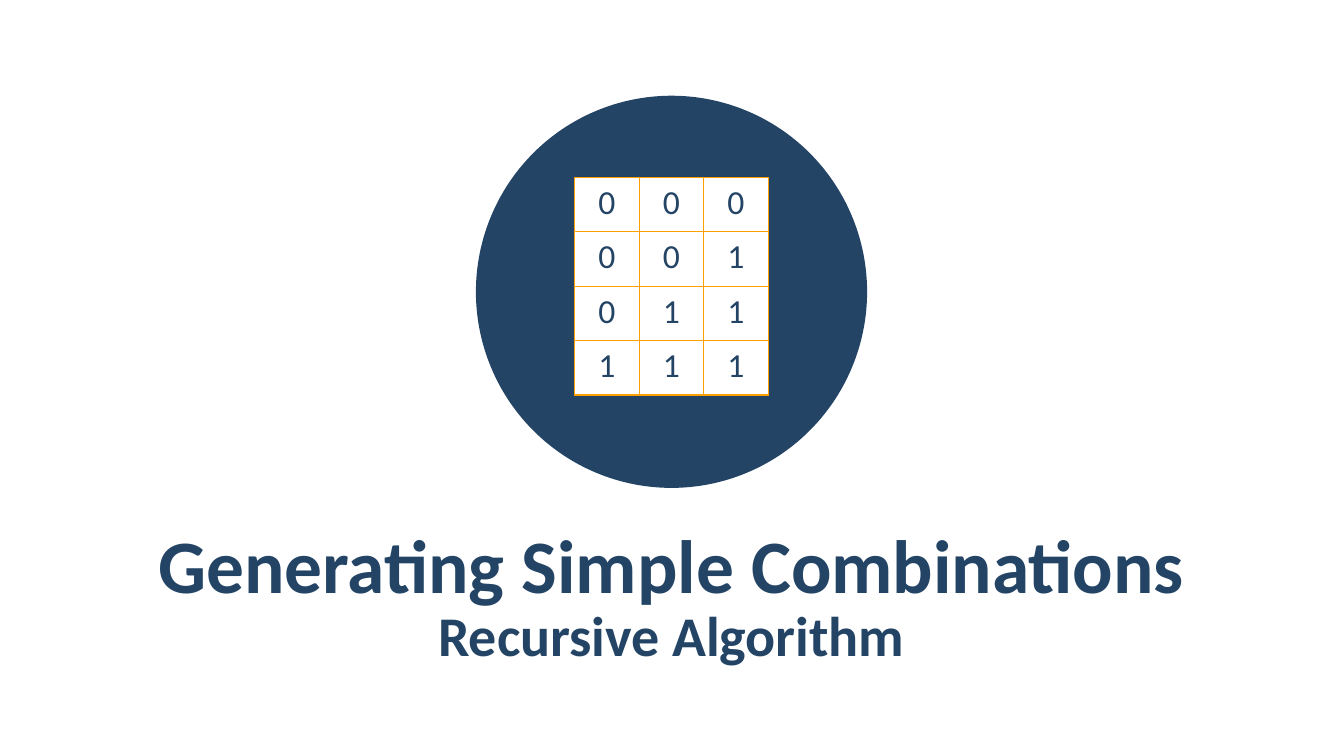
import pptx
import pptx.dml.color
import pptx.enum.shapes
import pptx.enum.text
import pptx.oxml
import pptx.oxml.ns
import pptx.util
from dataclasses import dataclass

Inches = pptx.util.Inches
Color = pptx.dml.color.RGBColor.from_string

# Content
TITLE = "Generating Simple Combinations"
SUBTITLE = "Recursive Algorithm"
COMBINATIONS = ["000", "001", "011", "111"]


@dataclass(frozen=True)
class Theme:
    font: str = "Calibri"
    navy: str = "234465"
    white: str = "FFFFFF"
    orange: str = "FFA000"
    title_size: float = 53.9
    subtitle_size: float = 40
    digit_size: float = 24
    border_width: float = 1


THEME = Theme()


def style_paragraph(para, size, bold=False):
    para.alignment = pptx.enum.text.PP_ALIGN.CENTER
    for span in para.runs:
        span.font.name = THEME.font
        span.font.size = pptx.util.Pt(size)
        span.font.bold = bold
        span.font.color.rgb = Color(THEME.navy)


def set_heading(box, text, size, top, height):
    box.left, box.top = Inches(0.67), Inches(top)
    box.width, box.height = Inches(11.98), Inches(height)
    frame = box.text_frame
    frame.text = text
    frame.word_wrap = True
    frame.auto_size = pptx.enum.text.MSO_AUTO_SIZE.NONE
    frame.vertical_anchor = pptx.enum.text.MSO_ANCHOR.MIDDLE
    frame.margin_left = frame.margin_right = Inches(0.12)
    frame.margin_top = frame.margin_bottom = Inches(0.04)
    para = frame.paragraphs[0]
    para.line_spacing = 1.05
    para.space_before = pptx.util.Pt(0)
    style_paragraph(para, size, bold=True)


def add_borders(cell):
    properties = cell._tc.get_or_add_tcPr()
    width = pptx.util.Pt(THEME.border_width)
    for side in ("lnL", "lnR", "lnT", "lnB"):
        properties.append(pptx.oxml.parse_xml(
            f'<a:{side} {pptx.oxml.ns.nsdecls("a")} w="{width}"><a:solidFill>'
            f'<a:srgbClr val="{THEME.orange}"/></a:solidFill></a:{side}>'))


def add_combinations(page, left, top, column_width, row_height):
    rows, columns = len(COMBINATIONS), len(COMBINATIONS[0])
    table = page.shapes.add_table(
        rows, columns, Inches(left), Inches(top),
        Inches(columns * column_width), Inches(rows * row_height)).table
    table.first_row = table.horz_banding = False
    for row, digits in enumerate(COMBINATIONS):
        for column, digit in enumerate(digits):
            cell = table.cell(row, column)
            add_borders(cell)
            cell.fill.solid()
            cell.fill.fore_color.rgb = Color(THEME.white)
            cell.text_frame.text = digit
            style_paragraph(cell.text_frame.paragraphs[0], THEME.digit_size)


def main():
    deck = pptx.Presentation()
    deck.slide_width, deck.slide_height = Inches(13.33), Inches(7.5)
    page = deck.slides.add_slide(deck.slide_layouts[5])

    # Circle behind the table
    circle = page.shapes.add_shape(
        pptx.enum.shapes.MSO_SHAPE.OVAL,
        Inches(4.72), Inches(0.95), Inches(3.88), Inches(3.89))
    circle.shadow.inherit = False
    circle.fill.solid()
    circle.fill.fore_color.rgb = Color(THEME.navy)
    circle.line.fill.background()

    # Title and subtitle
    set_heading(page.shapes.title, TITLE, THEME.title_size, 5.15, 0.84)
    subtitle = page.shapes.add_textbox(0, 0, 0, 0)
    set_heading(subtitle, SUBTITLE, THEME.subtitle_size, 6, 0.55)

    # Table of combinations
    add_combinations(page, left=5.7, top=1.76, column_width=0.64, row_height=0.54)

    deck.save("out.pptx")


if __name__ == "__main__":
    main()
